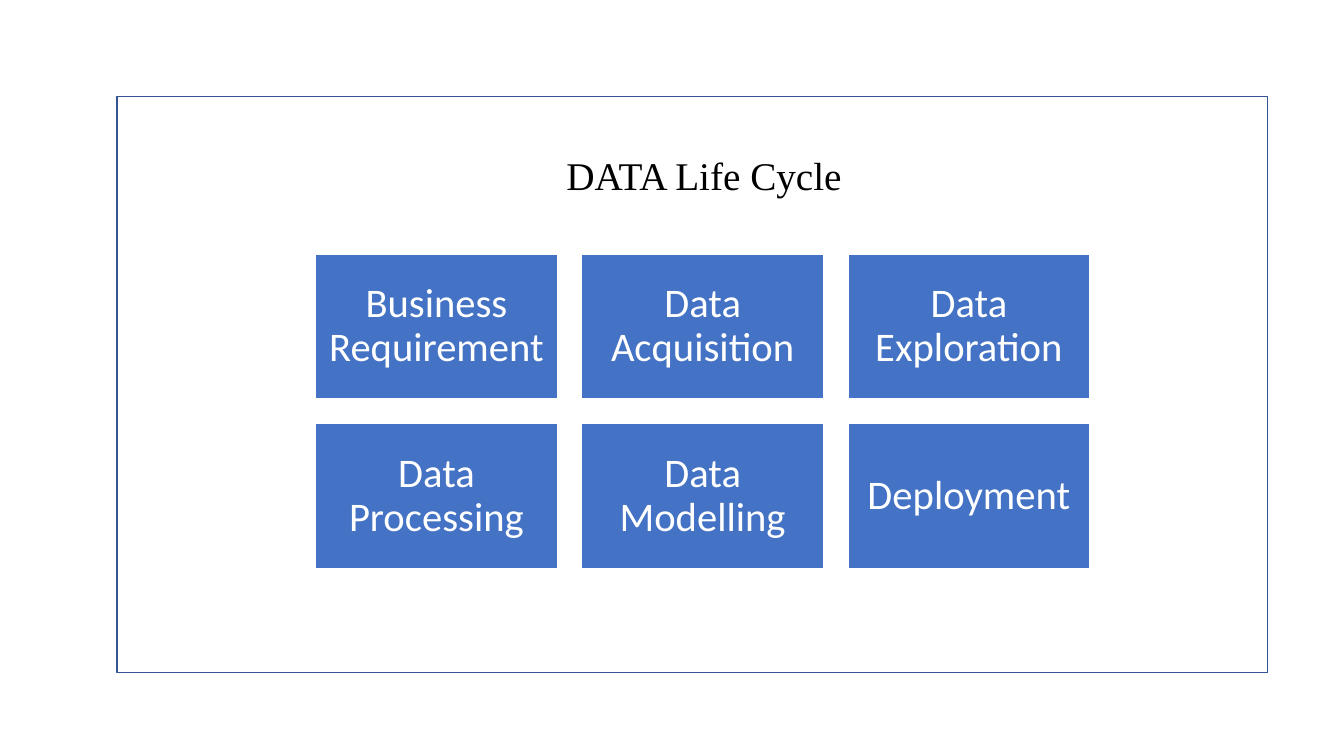
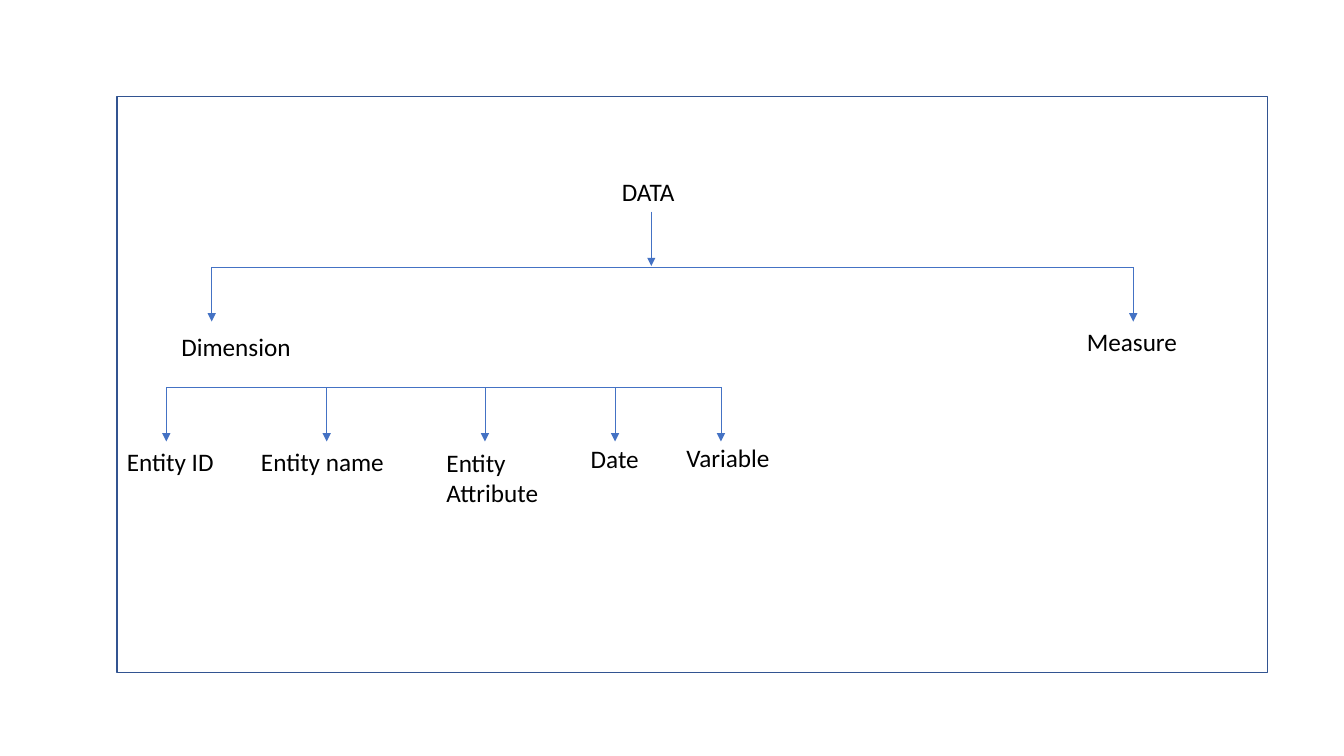
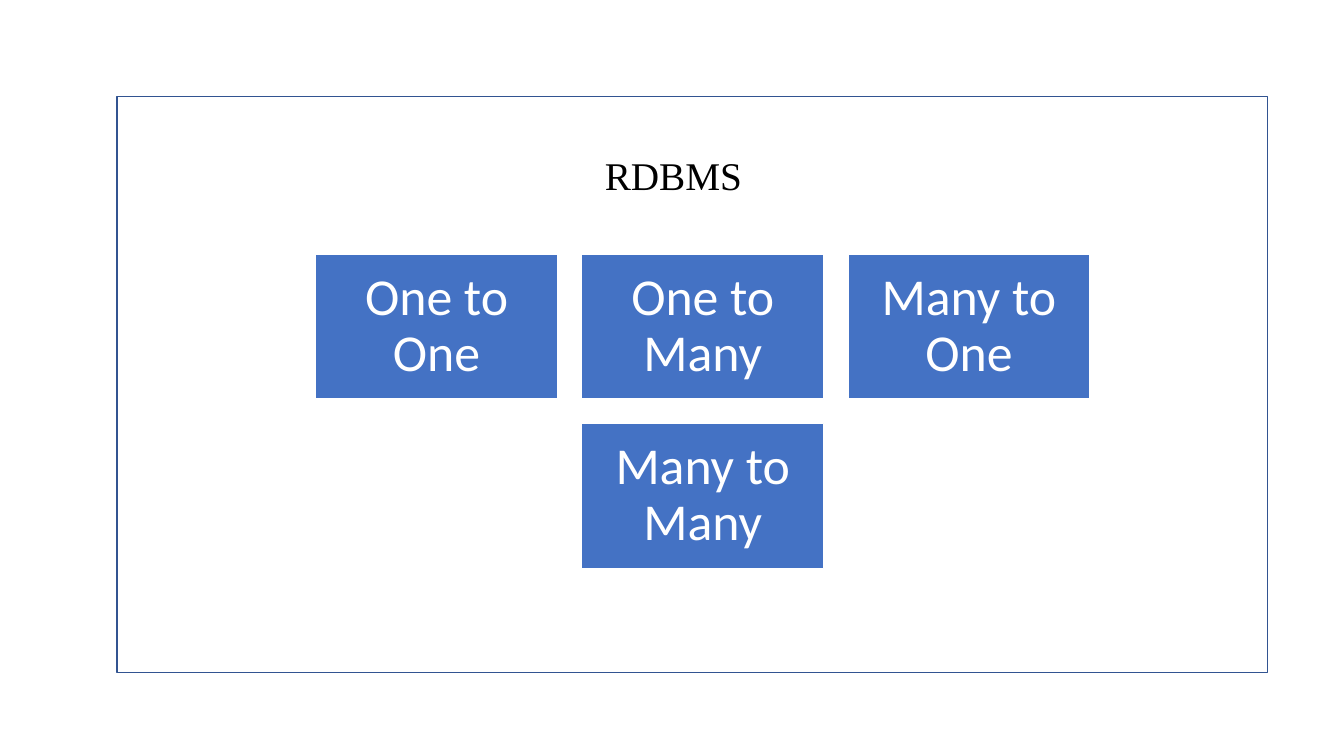
from dataclasses import dataclass

from lxml.etree import SubElement
from pptx import Presentation
from pptx.dml.color import RGBColor
from pptx.enum.shapes import MSO_CONNECTOR as Connector, MSO_SHAPE as Preset
from pptx.enum.text import MSO_ANCHOR as Anchor, PP_ALIGN as Align
from pptx.oxml.ns import qn
from pptx.util import Inches, Pt


@dataclass(frozen=True)
class Theme:
    """Colours, fonts, type sizes and line widths of the deck."""
    ink: str = "000000"
    paper: str = "FFFFFF"
    accent: str = "4472C4"
    border: str = "325491"
    title_font: str = "Times New Roman"
    body_font: str = "Calibri"
    title_size: int = 28
    label_size: int = 18
    outline: float = 1
    branch: float = 0.5


@dataclass(frozen=True)
class Box:
    """A rectangle whose inner boxes are given in percent of its size."""
    left: float
    top: float
    width: float
    height: float

    def point(self, across, down):
        """Return the position at the given percentages."""
        return (int(self.left + self.width * across / 100),
                int(self.top + self.height * down / 100))

    def inner(self, across, down, width, height):
        """Return the box inside this one at the given percentages."""
        return Box(*self.point(across, down),
                   int(self.width * width / 100), int(self.height * height / 100))

    def bounds(self):
        """Return left, top, width and height."""
        return self.left, self.top, self.width, self.height


THEME = Theme()
SLIDE = Box(0, 0, Inches(13.33), Inches(7.5))
FRAME = SLIDE.inner(8.7, 12.8, 85.6, 76.13)
CARDS = FRAME.inner(17.27, 27.32, 67.31, 54.64)
LABEL_HEIGHT = 7
DROP = 9.46


def add_rectangle(page, box, line, fill=None):
    """Draw a flat rectangle, hollow unless a fill is given."""
    shape = page.shapes.add_shape(Preset.RECTANGLE, *box.bounds())
    shape.shadow.inherit = False
    shape.line.color.rgb = RGBColor.from_string(line)
    shape.line.width = Pt(THEME.outline)
    if fill:
        shape.fill.solid()
        shape.fill.fore_color.rgb = RGBColor.from_string(fill)
    else:
        shape.fill.background()
    return shape


def add_span(para, text, size, font, color):
    """Append one styled run to a paragraph."""
    span = para.add_run()
    span.text = text
    span.font.size = Pt(size)
    span.font.name = font
    span.font.color.rgb = RGBColor.from_string(color)


def add_label(page, box, text, size=THEME.label_size, font=THEME.body_font):
    """Place left-aligned text, one paragraph a line."""
    frame = page.shapes.add_textbox(*box.bounds()).text_frame
    frame.word_wrap = True
    frame.margin_right = 0
    for index, line in enumerate(text.split("\n")):
        para = frame.add_paragraph() if index else frame.paragraphs[0]
        add_span(para, line, size, font, THEME.ink)


def add_line(page, start, end, arrow=False):
    """Draw a thin straight line, with an arrowhead at its end on request."""
    connector = page.shapes.add_connector(Connector.STRAIGHT, *start, *end)
    connector.line.color.rgb = RGBColor.from_string(THEME.accent)
    connector.line.width = Pt(THEME.branch)
    properties = connector._element.spPr
    if arrow:
        SubElement(properties.find(qn("a:ln")), qn("a:tailEnd"), type="triangle")
    SubElement(properties, qn("a:effectLst"))


def add_page(deck):
    """Add a blank page with the shared border."""
    page = deck.slides.add_slide(deck.slide_layouts[6])
    add_rectangle(page, FRAME, THEME.border)
    return page


def add_card(page, box, text, size, inset):
    """Draw a filled card with centred text."""
    frame = add_rectangle(page, box, THEME.paper, THEME.accent).text_frame
    frame.word_wrap = True
    frame.vertical_anchor = Anchor.MIDDLE
    frame.margin_left = frame.margin_right = Inches(inset)
    frame.margin_top = frame.margin_bottom = Inches(inset)
    para = frame.paragraphs[0]
    para.alignment = Align.CENTER
    para.line_spacing = 0.9
    add_span(para, text, size, THEME.body_font, THEME.paper)


def add_cards(page, box, names, size, inset, columns=3, rows=2):
    """Fill a grid with cards, centring a short last row."""
    width = box.width / (columns + 0.1 * (columns - 1))
    gap = 0.1 * width
    height = (box.height - gap * (rows - 1)) / rows
    for row in range(rows):
        row_names = names[row * columns:(row + 1) * columns]
        indent = (columns - len(row_names)) / 2
        for column, name in enumerate(row_names):
            card = Box(int(box.left + (column + indent) * (width + gap)),
                       int(box.top + row * (height + gap)), int(width), int(height))
            add_card(page, card, name, size, inset)


def add_card_page(deck, title, title_left, title_width, names, size, inset):
    """Build a page with a title above a grid of cards."""
    page = add_page(deck)
    add_label(page, FRAME.inner(title_left, 8.58, title_width, 10), title,
              THEME.title_size, THEME.title_font)
    add_cards(page, CARDS, names, size, inset)


def add_branches(page, box, bar, leaves):
    """Draw a bar with an arrow down to each labelled leaf."""
    add_line(page, box.point(leaves[0][1], bar), box.point(leaves[-1][1], bar))
    for text, stem, left, top, width in leaves:
        add_line(page, box.point(stem, bar), box.point(stem, bar + DROP), True)
        height = LABEL_HEIGHT * len(text.split("\n"))
        add_label(page, box.inner(left, top, width, height), text)


def add_tree_page(deck):
    """Build the page that splits data into its kinds."""
    page = add_page(deck)
    add_label(page, FRAME.inner(43.03, 12.96, 6.92, LABEL_HEIGHT), "DATA")
    add_line(page, FRAME.point(46.45, 19.96), FRAME.point(46.45, 29.42), True)
    add_branches(page, FRAME, 29.6, [
        ("Dimension", 8.24, 4.73, 39.93, 11.92),
        ("Measure", 88.34, 83.44, 39.05, 9.73),
    ])
    add_branches(page, FRAME, 50.44, [
        ("Entity ID", 4.29, 0, 59.89, 9.9),
        ("Entity name", 18.23, 11.66, 59.89, 13.06),
        ("Entity\nAttribute", 31.99, 27.78, 60.07, 10.34),
        ("Date", 43.3, 40.32, 59.37, 6.49),
        ("Variable", 52.5, 48.64, 59.19, 9.55),
    ])


def build():
    """Build and save the deck."""
    deck = Presentation()
    deck.slide_width, deck.slide_height = SLIDE.width, SLIDE.height
    add_card_page(deck, "DATA Life Cycle", 38.21, 26.82, [
        "Business Requirement", "Data Acquisition", "Data Exploration",
        "Data Processing", "Data Modelling", "Deployment"], 29, 0.12)
    add_tree_page(deck)
    add_card_page(deck, "RDBMS", 41.54, 18.76, [
        "One to One", "One to Many", "Many to One", "Many to Many"], 37, 0.15)
    deck.save("out.pptx")


build()
